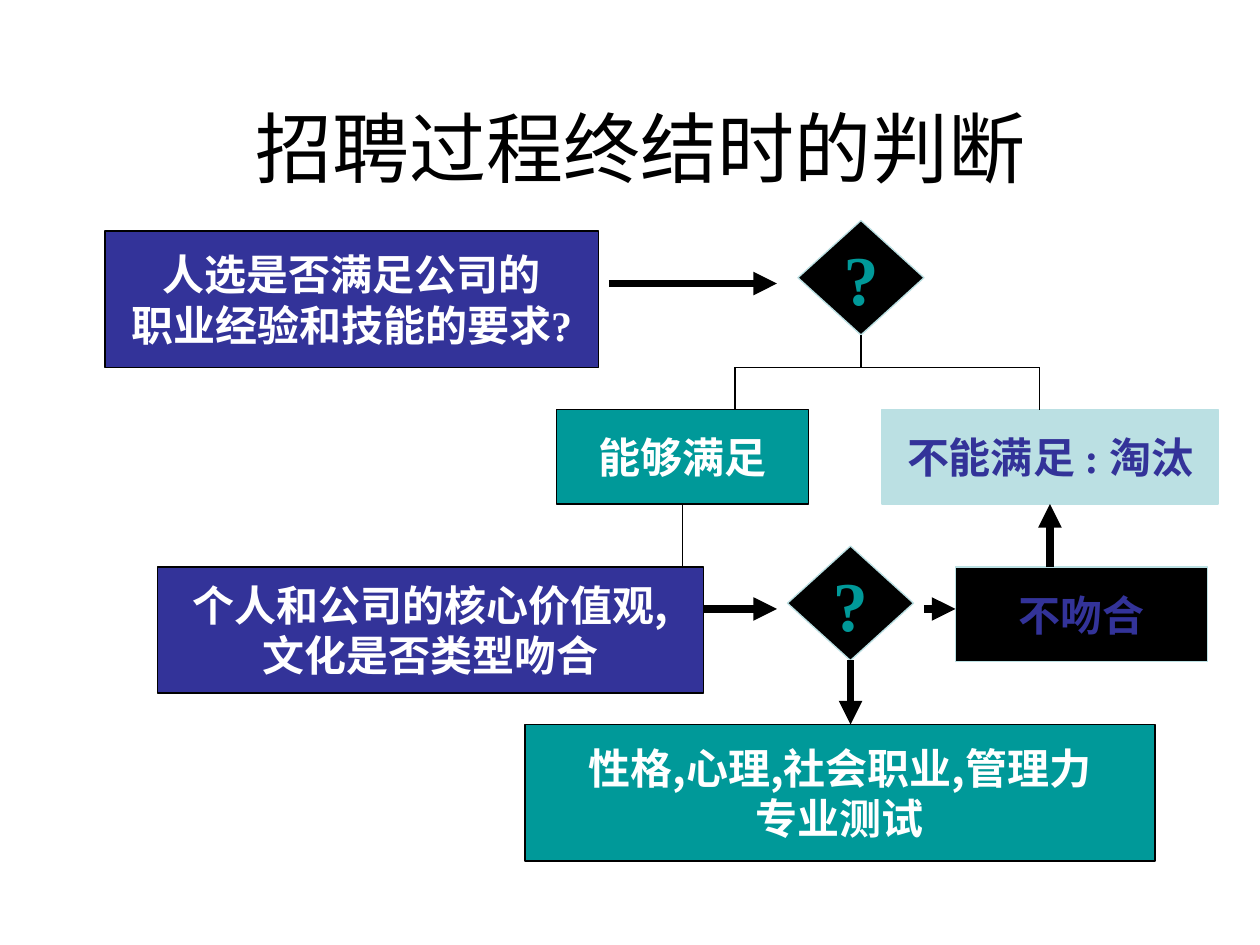
from dataclasses import dataclass
from typing import Optional

from lxml.etree import SubElement
from pptx import Presentation
from pptx.dml.color import RGBColor
from pptx.enum.shapes import MSO_CONNECTOR, MSO_SHAPE
from pptx.enum.text import MSO_ANCHOR, PP_ALIGN
from pptx.oxml.ns import qn
from pptx.util import Emu, Pt

EMU_PER_PX = 7620
SERIF, SANS, CJK = "Times New Roman", "Arial", "Noto Sans CJK SC"
BLACK, WHITE, NAVY, TEAL, PALE = "000000", "FFFFFF", "333399", "009999", "BBE0E3"
BOTTOM = 2


@dataclass(frozen=True)
class Step:
    key: str
    lines: tuple[str, ...]
    left: int
    top: int
    width: int
    height: int
    fill: str
    border: str = BLACK
    ink: str = WHITE
    font: str = SERIF
    size: int = 24
    outline: MSO_SHAPE = MSO_SHAPE.RECTANGLE


@dataclass(frozen=True)
class Link:
    start: tuple[int, int]
    end: tuple[int, int]
    arrow: bool = False
    leaves: Optional[str] = None
    enters: Optional[str] = None


def decision(key: str, left: int, top: int) -> Step:
    return Step(key, ("?",), left, top, 120, 109, BLACK, PALE, TEAL,
                size=40, outline=MSO_SHAPE.DIAMOND)


STEPS = (
    Step("skills", ("人选是否满足公司的", "职业经验和技能的要求?"), 100, 220, 470, 130, NAVY),
    Step("rejected", ("不能满足 : 淘汰",), 840, 390, 320, 90, PALE, PALE, NAVY),
    Step("satisfied", ("能够满足",), 530, 390, 240, 90, TEAL),
    decision("skills_check", 760, 210),
    Step("culture", ("个人和公司的核心价值观,", "文化是否类型吻合"), 150, 540, 520, 120, NAVY, font=CJK),
    Step("tests", ("性格,心理,社会职业,管理力", "专业测试"), 500, 690, 600, 130, TEAL, font=CJK),
    decision("culture_check", 750, 520),
    Step("mismatch", ("不吻合",), 910, 540, 240, 90, BLACK, PALE, NAVY),
)

LINKS = (
    Link((580, 270), (740, 270), arrow=True),
    Link((700, 350), (990, 350)),
    Link((700, 350), (700, 390)),
    Link((990, 350), (990, 390)),
    Link((820, 319), (820, 350), leaves="skills_check"),
    Link((650, 480), (650, 540), leaves="satisfied"),
    Link((670, 580), (740, 580), arrow=True),
    Link((810, 629), (810, 690), arrow=True, leaves="culture_check"),
    Link((880, 580), (910, 580), arrow=True),
    Link((1000, 540), (1000, 480), arrow=True, enters="rejected"),
)


def px(length: int) -> Emu:
    return Emu(length * EMU_PER_PX)


def color(value: str) -> RGBColor:
    return RGBColor.from_string(value)


def write(frame, lines: tuple[str, ...], *, font: str, size: int, ink: str,
          bold: bool = False, wrap: bool = False) -> None:
    frame.word_wrap = wrap
    frame.vertical_anchor = MSO_ANCHOR.MIDDLE
    for index, line in enumerate(lines):
        paragraph = frame.add_paragraph() if index else frame.paragraphs[0]
        paragraph.alignment = PP_ALIGN.CENTER
        run = paragraph.add_run()
        run.text = line
        run.font.name = font
        run.font.size = Pt(size)
        run.font.bold = bold
        run.font.color.rgb = color(ink)
        SubElement(run.font._element, qn("a:ea"), typeface=CJK)


def draw_step(slide, step: Step):
    shape = slide.shapes.add_shape(step.outline, px(step.left), px(step.top),
                                   px(step.width), px(step.height))
    shape.shadow.inherit = False
    shape.fill.solid()
    shape.fill.fore_color.rgb = color(step.fill)
    shape.line.color.rgb = color(step.border)
    shape.line.width = Pt(0.75)
    write(shape.text_frame, step.lines, font=step.font, size=step.size,
          ink=step.ink, bold=True)
    return shape


def draw_link(slide, link: Link, shapes: dict) -> None:
    connector = slide.shapes.add_connector(
        MSO_CONNECTOR.STRAIGHT, *map(px, link.start + link.end))
    if link.leaves:
        connector.begin_connect(shapes[link.leaves], BOTTOM)
    if link.enters:
        connector.end_connect(shapes[link.enters], BOTTOM)
    connector.line.color.rgb = color(BLACK)
    connector.line.width = Pt(4.5 if link.arrow else 0.75)
    if link.arrow:
        SubElement(connector.line._get_or_add_ln(), qn("a:tailEnd"), type="triangle")
    SubElement(connector._element.spPr, qn("a:effectLst"))


def main() -> None:
    deck = Presentation()
    deck.slide_width, deck.slide_height = px(1200), px(900)
    slide = deck.slides.add_slide(deck.slide_layouts[6])
    title = slide.shapes.add_textbox(px(100), px(90), px(1020), px(100))
    write(title.text_frame, ("招聘过程终结时的判断",), font=SANS, size=44,
          ink=BLACK, wrap=True)
    shapes = {step.key: draw_step(slide, step) for step in STEPS}
    for link in LINKS:
        draw_link(slide, link, shapes)
    deck.save("out.pptx")


if __name__ == "__main__":
    main()
